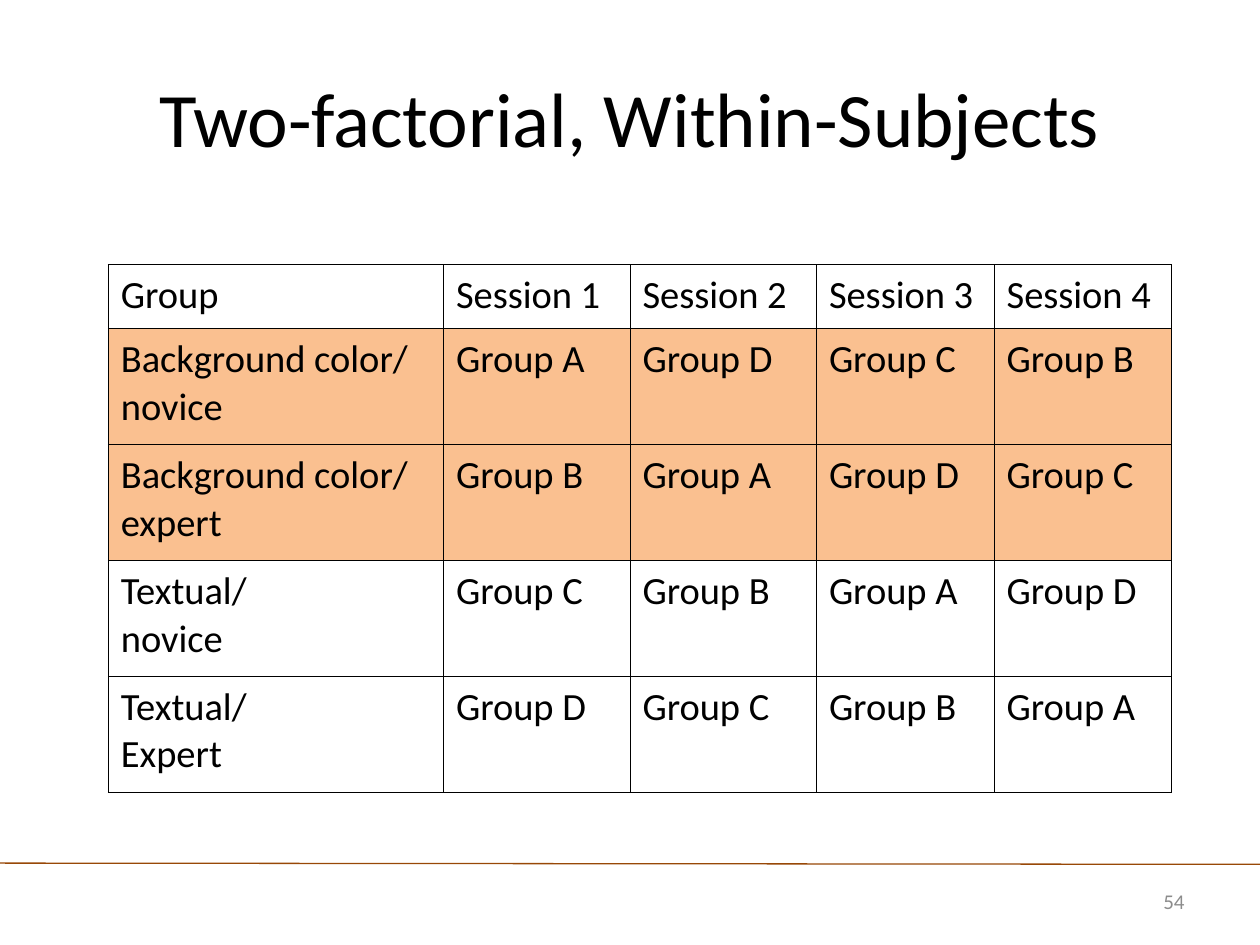
from dataclasses import dataclass

from lxml import etree
from pptx import Presentation
from pptx.dml.color import RGBColor
from pptx.enum.shapes import MSO_CONNECTOR
from pptx.enum.text import MSO_ANCHOR, PP_ALIGN
from pptx.oxml.ns import qn
from pptx.util import Inches, Pt

LEFT, CENTER, RIGHT = PP_ALIGN.LEFT, PP_ALIGN.CENTER, PP_ALIGN.RIGHT
MIDDLE, TOP = MSO_ANCHOR.MIDDLE, MSO_ANCHOR.TOP
STRAIGHT = MSO_CONNECTOR.STRAIGHT


@dataclass(frozen=True)
class Theme:
    """Fonts, type sizes, colours and line widths of the slide."""
    font: str = "Calibri"
    title_size: float = 44
    table_size: float = 22
    number_size: float = 12
    text: str = "000000"
    muted: str = "8C8C8C"
    highlight: str = "FAC090"
    rule: str = "984807"
    rule_width: float = 0.75
    border: str = "000000"
    border_width: float = 0.45


THEME = Theme()
SESSIONS = 4
GROUPS = "ABCD"
CONDITIONS = ["Background color/ novice", "Background color/\nexpert",
              "Textual/\nnovice", "Textual/\nExpert"]
HIGHLIGHTED_ROWS = (1, 2)
COL_WIDTHS = [2.66, 1.48, 1.48, 1.41, 1.41]
ROW_HEIGHTS = [0.51] + [0.92] * len(CONDITIONS)


def write_text(tf, text, size, color=THEME.text, align=LEFT, spacing=None):
    """Write one paragraph per line of text with the given format."""
    tf.word_wrap = True
    for i, line in enumerate(text.split("\n")):
        p = tf.paragraphs[0] if i == 0 else tf.add_paragraph()
        p.alignment = align
        if spacing:
            p.line_spacing = spacing
        r = p.add_run()
        r.text = line
        r.font.name = THEME.font
        r.font.size = Pt(size)
        r.font.color.rgb = RGBColor.from_string(color)


def add_title(slide, text, left, top, width, height):
    """Place and fill the title placeholder."""
    sp = slide.shapes.title
    sp.left, sp.top = Inches(left), Inches(top)
    sp.width, sp.height = Inches(width), Inches(height)
    sp.text_frame.vertical_anchor = MIDDLE
    write_text(sp.text_frame, text, THEME.title_size, align=CENTER)


def add_footer(slide, number, left, top, width, height):
    """Draw the footer rule and the slide number inside a box."""
    line = slide.shapes.add_connector(
        STRAIGHT, Inches(left), Inches(top),
        Inches(left + width), Inches(top + 0.01))
    line.line.color.rgb = RGBColor.from_string(THEME.rule)
    line.line.width = Pt(THEME.rule_width)
    etree.SubElement(line._element.spPr, qn("a:effectLst"))
    number_width = 0.91
    sp = slide.shapes.add_textbox(
        Inches(left + width - 0.5 - number_width), Inches(top + 0.1),
        Inches(number_width), Inches(height - 0.25))
    sp.text_frame.vertical_anchor = MIDDLE
    write_text(sp.text_frame, number, THEME.number_size, THEME.muted, RIGHT)


def add_borders(cell):
    """Give all four sides of a cell a thin solid line."""
    tcPr = cell._tc.get_or_add_tcPr()
    for side in ("lnL", "lnR", "lnT", "lnB"):
        ln = etree.SubElement(tcPr, qn(f"a:{side}"),
                              w=str(int(Pt(THEME.border_width))))
        fill = etree.SubElement(ln, qn("a:solidFill"))
        etree.SubElement(fill, qn("a:srgbClr"), val=THEME.border)


def session_rows():
    """Return the header and the Latin square of groups by session."""
    header = ["Group"] + [f"Session {n + 1}" for n in range(SESSIONS)]
    return [header] + [
        [condition] + [f"Group {GROUPS[(i - j) % len(GROUPS)]}"
                       for j in range(SESSIONS)]
        for i, condition in enumerate(CONDITIONS)]


def add_session_table(slide, rows, left, top, width, height):
    """Build the table of conditions and sessions."""
    table = slide.shapes.add_table(
        len(rows), len(rows[0]), Inches(left), Inches(top),
        Inches(width), Inches(height)).table
    table.first_row = table.horz_banding = False
    for col, share in zip(table.columns, COL_WIDTHS):
        col.width = Inches(width * share / sum(COL_WIDTHS))
    for row, share in zip(table.rows, ROW_HEIGHTS):
        row.height = Inches(height * share / sum(ROW_HEIGHTS))
    for i, row in enumerate(rows):
        for j, text in enumerate(row):
            cell = table.cell(i, j)
            cell.vertical_anchor = TOP
            add_borders(cell)
            if i in HIGHLIGHTED_ROWS:
                cell.fill.solid()
                cell.fill.fore_color.rgb = RGBColor.from_string(THEME.highlight)
            else:
                cell.fill.background()
            write_text(cell.text_frame, text, THEME.table_size, spacing=1.02)


def main():
    """Build the slide and save it."""
    prs = Presentation()
    prs.slide_width, prs.slide_height = Inches(10), Inches(7.5)
    slide = prs.slides.add_slide(prs.slide_layouts[5])
    add_footer(slide, "54", 0, 6.85, 10, 0.65)
    add_title(slide, "Two-factorial, Within-Subjects", 0.5, 0.3, 9, 1.25)
    add_session_table(slide, session_rows(), 0.86, 2.1, 8.44, 4.19)
    prs.save("out.pptx")


if __name__ == "__main__":
    main()
